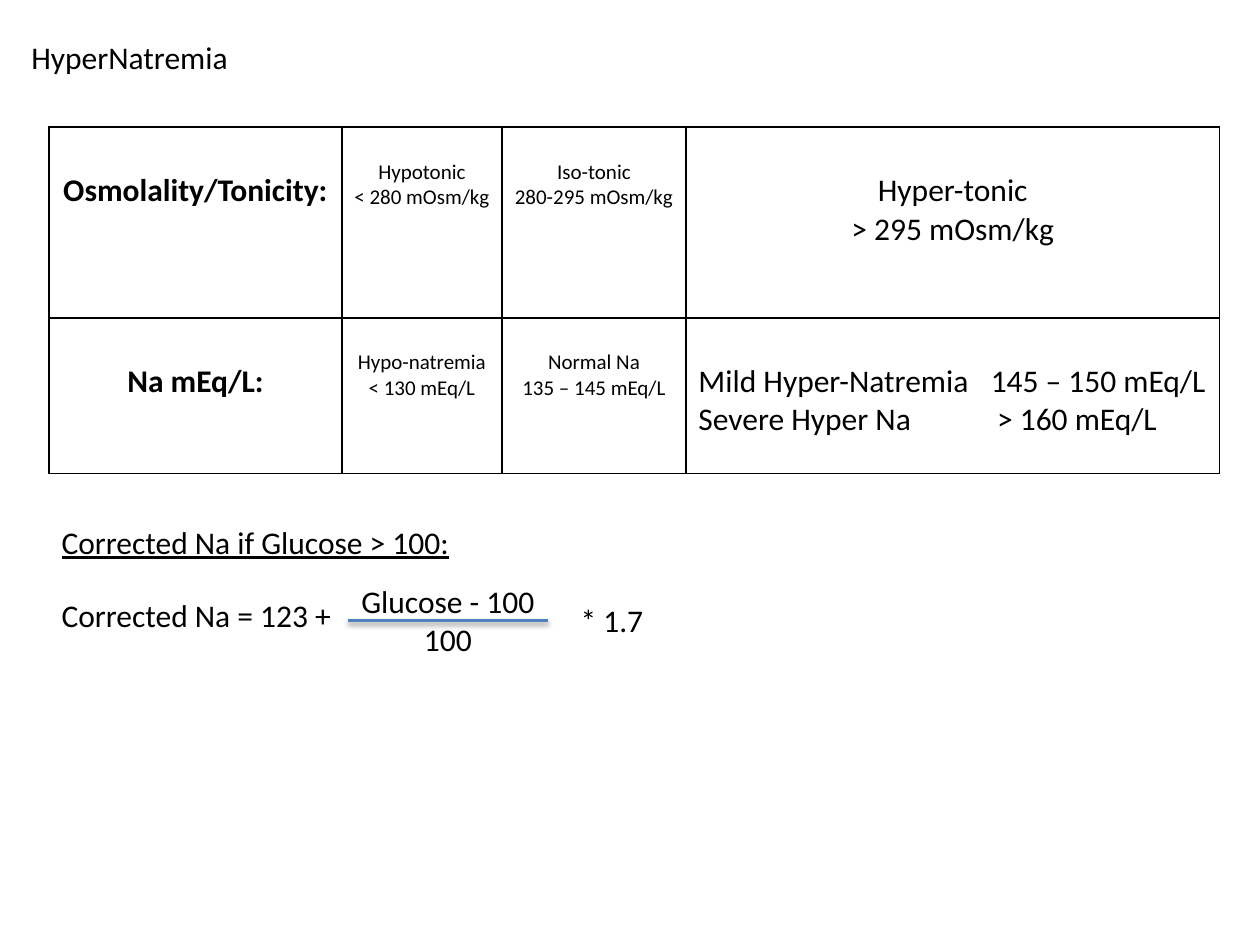
from dataclasses import dataclass

from lxml.etree import SubElement
from pptx import Presentation
from pptx.dml.color import RGBColor as RGB
from pptx.enum.shapes import MSO_CONNECTOR as CONNECTOR
from pptx.enum.text import MSO_AUTO_SIZE as AUTO_SIZE, PP_ALIGN as ALIGN
from pptx.oxml.ns import qn
from pptx.util import Inches, Pt


@dataclass(frozen=True)
class Theme:
    font: str = "Calibri"
    ink: str = "000000"
    paper: str = "FFFFFF"
    rule: str = "4F81BD"
    body: int = 18
    small: int = 12
    line_height: float = 1.22
    border: int = 1
    rule_width: int = 2


THEME = Theme()
COLUMNS, ROWS = 100, 75
SLIDE_WIDTH, SLIDE_HEIGHT = Inches(10), Inches(7.5)


def across(columns):
    return round(SLIDE_WIDTH * columns / COLUMNS)


def down(rows):
    return round(SLIDE_HEIGHT * rows / ROWS)


def element(parent, tag, **attributes):
    return SubElement(parent, qn(tag), {key: str(value) for key, value in attributes.items()})


def write(frame, text, size=THEME.body, align=ALIGN.LEFT, bold=False, underline=False, tabs=()):
    for index, line in enumerate(text.split("\n")):
        paragraph = frame.add_paragraph() if index else frame.paragraphs[0]
        paragraph.alignment = align
        if tabs:
            stops = element(paragraph._p.get_or_add_pPr(), "a:tabLst")
            element(stops, "a:tab", pos=across(tabs[index]), algn="l")
        run = paragraph.add_run()
        run.text = line
        run.font.name = THEME.font
        run.font.size = Pt(size)
        run.font.bold = bold
        run.font.underline = underline
        run.font.color.rgb = RGB.from_string(THEME.ink)


def label(slide, box, text, **style):
    left, top, width, height = box
    frame = slide.shapes.add_textbox(across(left), down(top), across(width), down(height)).text_frame
    frame.word_wrap = False
    frame.auto_size = AUTO_SIZE.SHAPE_TO_FIT_TEXT
    write(frame, text, **style)


def outline(cell):
    properties = cell._tc.get_or_add_tcPr()
    for side in ("a:lnL", "a:lnR", "a:lnT", "a:lnB"):
        border = element(properties, side, w=Pt(THEME.border))
        element(element(border, "a:solidFill"), "a:srgbClr", val=THEME.ink)
    cell.fill.solid()
    cell.fill.fore_color.rgb = RGB.from_string(THEME.paper)


def ranges_table(slide, box):
    left, top, width, height = box
    heading = dict(align=ALIGN.CENTER, bold=True)
    minor = dict(align=ALIGN.CENTER, size=THEME.small)
    content = [
        [("Osmolality/Tonicity:", heading),
         ("Hypotonic\n< 280 mOsm/kg", minor),
         ("Iso-tonic\n280-295 mOsm/kg", minor),
         ("Hyper-tonic\n> 295 mOsm/kg", dict(align=ALIGN.CENTER))],
        [("Na mEq/L:", heading),
         ("Hypo-natremia\n< 130 mEq/L", minor),
         ("Normal Na\n135 – 145 mEq/L", minor),
         ("Mild Hyper-Natremia\t145 – 150 mEq/L\nSevere Hyper Na\t> 160 mEq/L",
          dict(tabs=(23.2, 23.7)))],
    ]
    table = slide.shapes.add_table(2, 4, across(left), down(top), across(width), down(height)).table
    table.first_row = table.horz_banding = False
    for column, share in zip(table.columns, (0.25, 0.137, 0.157, 0.456)):
        column.width = across(width * share)
    for row, share in zip(table.rows, (0.55, 0.45)):
        row.height = down(height * share)
    for row, entries in enumerate(content):
        for column, (text, style) in enumerate(entries):
            cell = table.cell(row, column)
            first_line = style.get("size", THEME.body) * THEME.line_height
            cell.margin_top = Inches(0.05) + Pt(first_line)
            outline(cell)
            write(cell.text_frame, text, **style)


def fraction(slide, box, text):
    left, top, width, height = box
    label(slide, box, text, align=ALIGN.CENTER)
    middle = down(top + height / 2)
    bar = slide.shapes.add_connector(CONNECTOR.STRAIGHT, across(left), middle, across(left + width), middle)
    bar.line.color.rgb = RGB.from_string(THEME.rule)
    bar.line.width = Pt(THEME.rule_width)
    effects = element(bar._element.spPr, "a:effectLst")
    shadow = element(effects, "a:outerShdw", blurRad=Pt(3.1), dist=Pt(1.6), dir=90 * 60000, rotWithShape=0)
    element(element(shadow, "a:srgbClr", val=THEME.ink), "a:alpha", val=38000)


def correction(slide, box):
    left, top, width, height = box
    line = 4
    label(slide, (left, top, 33.2, line), "Corrected Na if Glucose > 100:", underline=True)
    label(slide, (left, top + 5.8, 23.8, line), "Corrected Na = 123 +")
    fraction(slide, (left + 23.7, top + 4.7, 15.9, height - 4.7), "Glucose - 100\n100")
    label(slide, (left + width - 7, top + 6.2, 7, line), "* 1.7")


def main():
    deck = Presentation()
    deck.slide_width, deck.slide_height = SLIDE_WIDTH, SLIDE_HEIGHT
    slide = deck.slides.add_slide(deck.slide_layouts[6])
    ranges_table(slide, (3.9, 10.1, 92.9, 27.5))
    label(slide, (1.5, 2.5, 17.8, 4), "HyperNatremia")
    correction(slide, (3.9, 41, 48.2, 11.8))
    deck.save("out.pptx")


if __name__ == "__main__":
    main()
